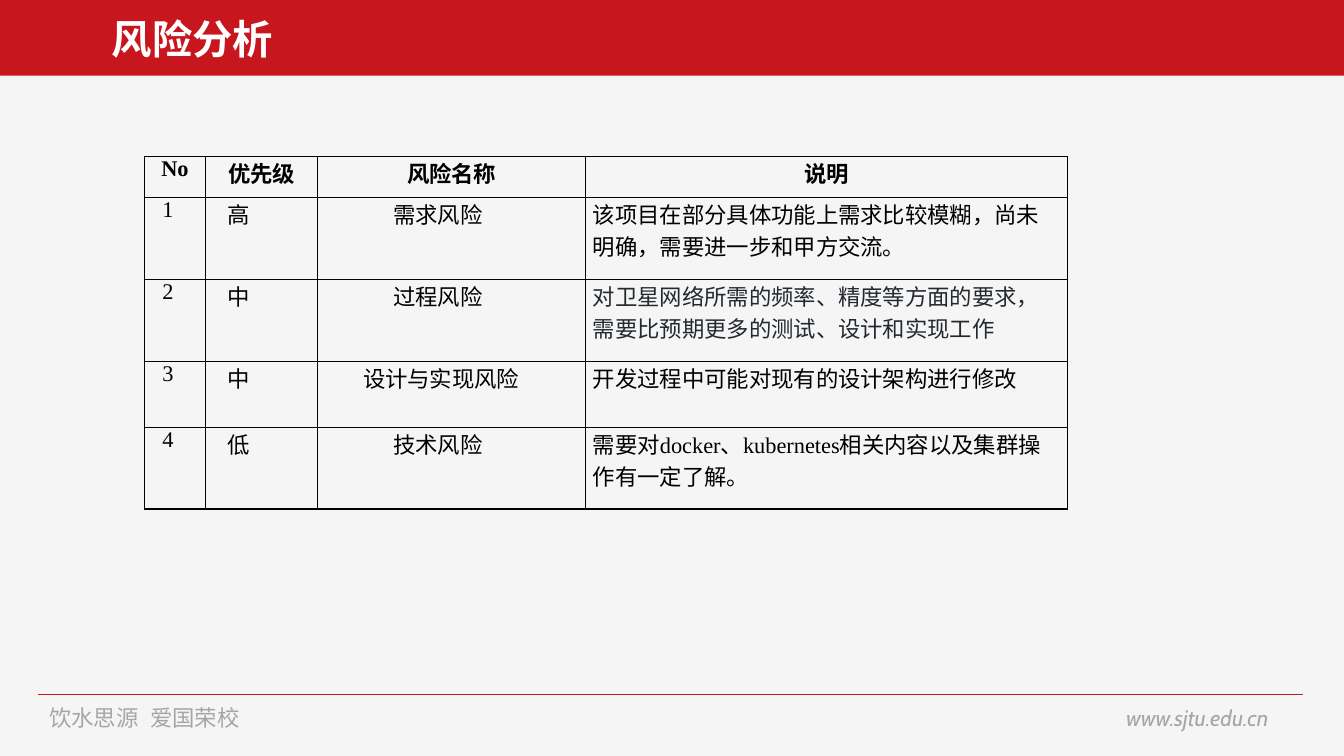
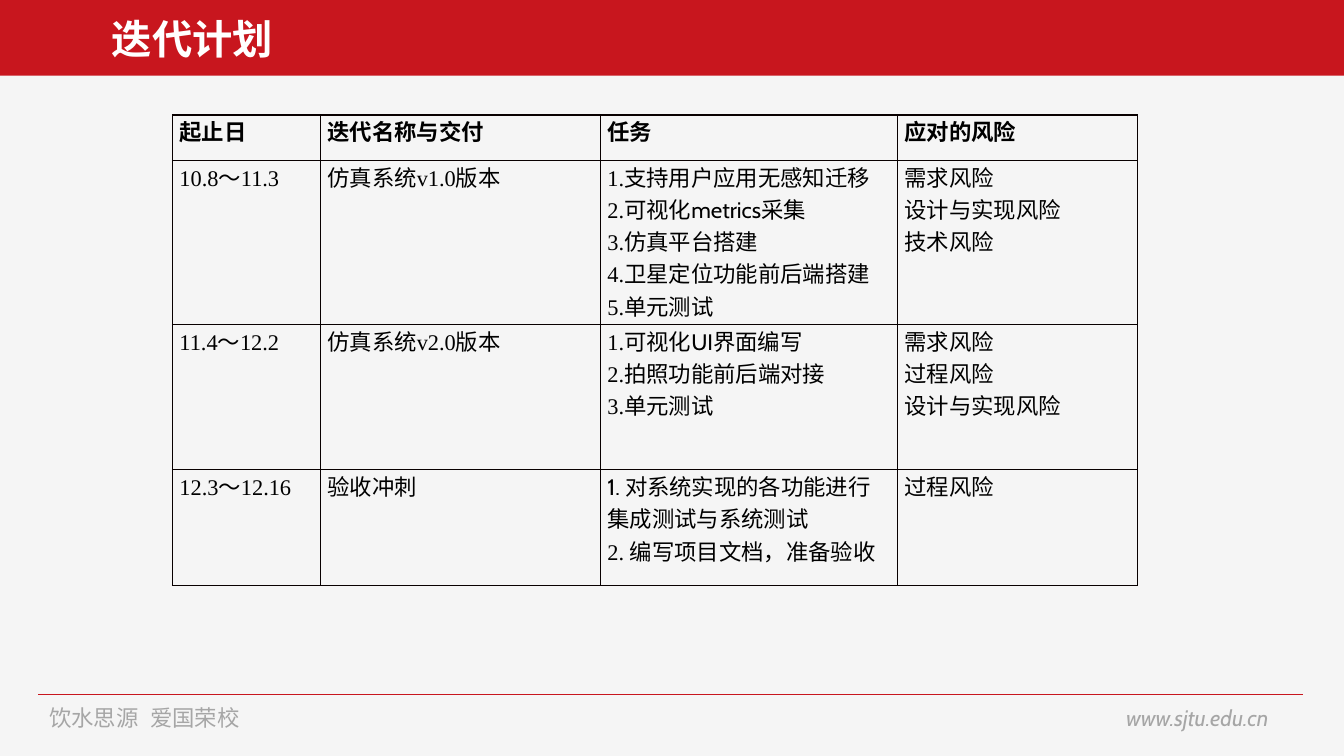
from lxml import etree
from pptx import Presentation
from pptx.dml.color import RGBColor
from pptx.enum.shapes import MSO_CONNECTOR, MSO_SHAPE
from pptx.enum.text import MSO_ANCHOR, PP_ALIGN
from pptx.oxml.ns import qn
from pptx.util import Inches, Pt

LEFT, CENTER, RIGHT = PP_ALIGN.LEFT, PP_ALIGN.CENTER, PP_ALIGN.RIGHT
MIDDLE = MSO_ANCHOR.MIDDLE
RECT, STRAIGHT = MSO_SHAPE.RECTANGLE, MSO_CONNECTOR.STRAIGHT

WIDTH, HEIGHT = 13.33, 7.5
SANS, SERIF = "Cabin", "Times New Roman"
RED, PAPER, GREY = "C8161E", "F5F5F5", "A6A6A6"
BLACK, WHITE, BORDER, SLATE = "000000", "FFFFFF", "080000", "24292E"

RISKS = [
    ["|No|", "优先级", "风险名称", "说明"],
    ["|1|", "高", "需求风险", "该项目在部分具体功能上需求比较模糊，尚未明确，需要进一步和甲方交流。"],
    ["|2|", "中", "过程风险", "对卫星网络所需的频率、精度等方面的要求，需要比预期更多的测试、设计和实现工作"],
    ["|3|", "中", "设计与实现风险", "开发过程中可能对现有的设计架构进行修改"],
    ["|4|", "低", "技术风险", "需要对|docker|、|kubernetes|相关内容以及集群操作有一定了解。"],
]
ITERATIONS = [
    ["起止日", "迭代名称与交付", "任务", "应对的风险"],
    ["|10.8|～|11.3|", "仿真系统|v1.0|版本",
     "|1.|支持用户应用无感知迁移\n|2.|可视化metrics采集\n|3.|仿真平台搭建\n"
     "|4.|卫星定位功能前后端搭建\n|5.|单元测试",
     "需求风险\n设计与实现风险\n技术风险"],
    ["|11.4|～|12.2|", "仿真系统|v2.0|版本",
     "|1.|可视化UI界面编写\n|2.|拍照功能前后端对接\n|3.|单元测试",
     "需求风险\n过程风险\n设计与实现风险"],
    ["|12.3|～|12.16|", "验收冲刺",
     "1. 对系统实现的各功能进行集成测试与系统测试\n|2. |编写项目文档，准备验收",
     "过程风险"],
]


def rgb(value):
    return RGBColor.from_string(value)


def px(percent):
    return Inches(WIDTH * percent / 100)


def py(percent):
    return Inches(HEIGHT * percent / 100)


def write(tf, text, size=16, color=BLACK, bold=False, italic=False,
          align=LEFT, indent=0, tab=0):
    """Parts between bars are set in the serif face; each line is a paragraph."""
    tf.word_wrap = True
    for i, line in enumerate(text.split("\n")):
        p = tf.paragraphs[0] if i == 0 else tf.add_paragraph()
        p.alignment = align
        pPr = p._p.get_or_add_pPr()
        pPr.set("marL", "0")
        pPr.set("indent", str(Inches(indent)))
        if tab:
            tabs = etree.SubElement(pPr, qn("a:tabLst"))
            etree.SubElement(tabs, qn("a:tab"), pos=str(Inches(tab)), algn="l")
        for j, part in enumerate(line.split("|")):
            if part:
                r = p.add_run()
                r.text = part
                r.font.name = SERIF if j % 2 else SANS
                r.font.size = Pt(size)
                r.font.bold, r.font.italic = bold, italic
                r.font.color.rgb = rgb(color)


def text_box(s, x, y, w, h, text, **fmt):
    tf = s.shapes.add_textbox(px(x), py(y), px(w), py(h)).text_frame
    tf.vertical_anchor = MIDDLE
    write(tf, text, **fmt)


def rule(s, x1, x2, y):
    line = s.shapes.add_connector(STRAIGHT, px(x1), py(y), px(x2), py(y))
    line.line.color.rgb = rgb(RED)
    line.line.width = Pt(0.5)
    etree.SubElement(line._element.spPr, qn("a:effectLst"))


def band(s, h):
    sp = s.shapes.add_shape(RECT, 0, 0, px(100), py(h))
    sp.shadow.inherit = False
    sp.fill.solid()
    sp.fill.fore_color.rgb = rgb(RED)
    sp.line.fill.background()


def base_slide(prs, title):
    s = prs.slides.add_slide(prs.slide_layouts[6])
    s.background.fill.solid()
    s.background.fill.fore_color.rgb = rgb(PAPER)
    band(s, 10)
    text_box(s, 83.05, 92.4, 13.88, 4.93, "www.sjtu.edu.cn", color=GREY, italic=True)
    text_box(s, 2.93, 92.4, 18.23, 4.93, "饮水思源\t爱国荣校", color=GREY, tab=1.03)
    rule(s, 2.85, 96.92, 91.87)
    text_box(s, 7.58, 1.2, 56.56, 7.87, title, size=28.8, color=WHITE, bold=True)
    return s


def outline(cell):
    tcPr = cell._tc.get_or_add_tcPr()
    for side in ("lnL", "lnR", "lnT", "lnB"):
        ln = etree.SubElement(tcPr, qn(f"a:{side}"), w=str(Pt(1)))
        fill = etree.SubElement(ln, qn("a:solidFill"))
        etree.SubElement(fill, qn("a:srgbClr"), val=BORDER)
    cell.fill.background()


def grid_table(s, x, y, cols, rows, data, header_align=LEFT, indents=None, special=None):
    table = s.shapes.add_table(len(rows), len(cols), px(x), py(y),
                               px(sum(cols)), py(sum(rows))).table
    table.first_row = table.horz_banding = False
    for column, w in zip(table.columns, cols):
        column.width = px(w)
    for row, h in zip(table.rows, rows):
        row.height = py(h)
    for i, texts in enumerate(data):
        for j, text in enumerate(texts):
            cell = table.cell(i, j)
            cell.margin_left = cell.margin_right = Inches(0.07)
            cell.margin_top = cell.margin_bottom = 0
            outline(cell)
            if i == 0:
                fmt = {"bold": True, "align": header_align}
            else:
                fmt = {"indent": indents[j] if indents else 0}
            fmt.update((special or {}).get((i, j), {}))
            write(cell.text_frame, text, **fmt)


def main():
    prs = Presentation()
    prs.slide_width, prs.slide_height = Inches(WIDTH), Inches(HEIGHT)

    s = base_slide(prs, "风险分析")
    grid_table(s, 10.73, 20.67, [4.58, 8.33, 19.95, 35.86],
               [5.47, 10.8, 10.93, 8.67, 10.8], RISKS, header_align=CENTER,
               indents=[0.11, 0.15, 0.68, 0],
               special={(2, 3): {"color": SLATE}, (3, 2): {"indent": 0.38}})

    s = base_slide(prs, "迭代计划")
    grid_table(s, 12.83, 15.2, [11.01, 20.84, 22.1, 17.86],
               [6, 21.73, 19.2, 15.33], ITERATIONS)

    prs.save("out.pptx")


if __name__ == "__main__":
    main()
